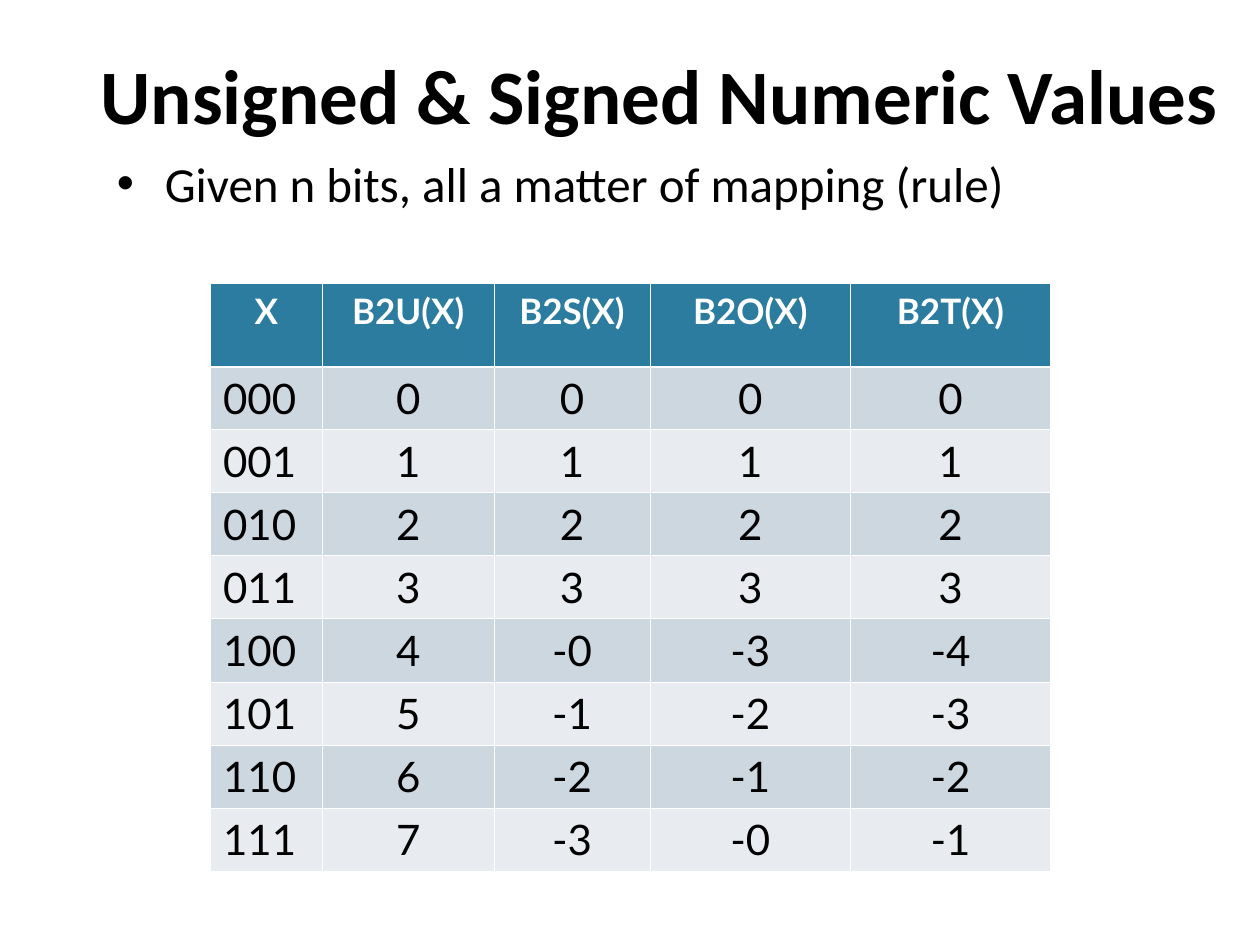
import pptx
import pptx.dml.color
import pptx.enum.text
import pptx.oxml
import pptx.oxml.ns
import pptx.util

THEME = {
    "text": "000000", "header_text": "FFFFFF", "rule": "FFFFFF",
    "header_fill": "2C7C9F", "band_fills": ("CDD7DF", "E8ECF0"),
    "body_font": "Calibri", "table_font": "Lato",
    "title_size": 44, "bullet_size": 28, "header_size": 20, "cell_size": 24,
    "thin_rule": 0.45, "thick_rule": 1.47,
}
LEFT = pptx.enum.text.PP_ALIGN.LEFT
CENTER = pptx.enum.text.PP_ALIGN.CENTER


def style_paragraph(paragraph, font_name, size, color, bold=False, alignment=LEFT):
    paragraph.alignment = alignment
    for run in paragraph.runs:
        run.font.name = font_name
        run.font.size = pptx.util.Pt(size)
        run.font.bold = bold
        run.font.color.rgb = pptx.dml.color.RGBColor.from_string(color)


def add_cell_border(cell, side, width):
    properties = cell._tc.get_or_add_tcPr()
    border = pptx.oxml.parse_xml(
        f'<a:{side} {pptx.oxml.ns.nsdecls("a")} w="{pptx.util.Pt(width)}">'
        f'<a:solidFill><a:srgbClr val="{THEME["rule"]}"/></a:solidFill></a:{side}>')
    properties.append(border)


presentation = pptx.Presentation()
presentation.slide_width = pptx.util.Inches(10)
presentation.slide_height = pptx.util.Inches(7.5)
slide = presentation.slides.add_slide(presentation.slide_layouts[6])

# Title
title = slide.shapes.add_textbox(
    pptx.util.Inches(0.73), pptx.util.Inches(0.35),
    pptx.util.Inches(9.05), pptx.util.Inches(0.79))
title_frame = title.text_frame
title_frame.word_wrap = False
title_frame.auto_size = pptx.enum.text.MSO_AUTO_SIZE.SHAPE_TO_FIT_TEXT
title_frame.margin_left = title_frame.margin_right = pptx.util.Inches(0.07)
title_frame.margin_top = title_frame.margin_bottom = pptx.util.Inches(0.03)
title_frame.text = "Unsigned & Signed Numeric Values"
style_paragraph(title_frame.paragraphs[0], THEME["body_font"],
                THEME["title_size"], THEME["text"], bold=True)

# Bullet line with a hanging indent
bullet = slide.shapes.add_textbox(
    pptx.util.Inches(0.83), pptx.util.Inches(1.17),
    pptx.util.Inches(8.83), pptx.util.Inches(0.75))
bullet.text_frame.word_wrap = True
bullet.text_frame.text = "Given n bits, all a matter of mapping (rule)"
bullet_paragraph = bullet.text_frame.paragraphs[0]
bullet_properties = bullet_paragraph._p.get_or_add_pPr()
indent = pptx.util.Inches(0.38)
bullet_properties.set("marL", str(indent))
bullet_properties.set("indent", str(-indent))
for element in (f'<a:buClr {pptx.oxml.ns.nsdecls("a")}><a:srgbClr val="{THEME["text"]}"/></a:buClr>',
                f'<a:buFont {pptx.oxml.ns.nsdecls("a")} typeface="Arial"/>',
                f'<a:buChar {pptx.oxml.ns.nsdecls("a")} char="•"/>'):
    bullet_properties.append(pptx.oxml.parse_xml(element))
style_paragraph(bullet_paragraph, THEME["body_font"], THEME["bullet_size"], THEME["text"])

# Table of the four mappings
mappings = [
    ("X", "B2U(X)", "B2S(X)", "B2O(X)", "B2T(X)"),
    ("000", "0", "0", "0", "0"),
    ("001", "1", "1", "1", "1"),
    ("010", "2", "2", "2", "2"),
    ("011", "3", "3", "3", "3"),
    ("100", "4", "-0", "-3", "-4"),
    ("101", "5", "-1", "-2", "-3"),
    ("110", "6", "-2", "-1", "-2"),
    ("111", "7", "-3", "-0", "-1"),
]
column_widths = (0.89, 1.36, 1.24, 1.59, 1.59)
row_heights = [0.66] + [0.5] * (len(mappings) - 1)
table = slide.shapes.add_table(
    len(mappings), len(column_widths),
    pptx.util.Inches(1.67), pptx.util.Inches(2.25),
    pptx.util.Inches(sum(column_widths)), pptx.util.Inches(sum(row_heights))).table
for column, width in zip(table.columns, column_widths):
    column.width = pptx.util.Inches(width)
for row, height in zip(table.rows, row_heights):
    row.height = pptx.util.Inches(height)

for row_index, values in enumerate(mappings):
    is_header = row_index == 0
    fill = THEME["header_fill"] if is_header else THEME["band_fills"][(row_index - 1) % 2]
    size = THEME["header_size"] if is_header else THEME["cell_size"]
    color = THEME["header_text"] if is_header else THEME["text"]
    # The rule under the header is the heavy one
    top_rule = THEME["thick_rule"] if row_index == 1 else THEME["thin_rule"]
    bottom_rule = THEME["thick_rule"] if is_header else THEME["thin_rule"]
    for column_index, value in enumerate(values):
        cell = table.cell(row_index, column_index)
        cell.text_frame.text = value
        alignment = CENTER if is_header or column_index else LEFT
        style_paragraph(cell.text_frame.paragraphs[0], THEME["table_font"],
                        size, color, bold=is_header, alignment=alignment)
        for side, width in (("lnL", THEME["thin_rule"]), ("lnR", THEME["thin_rule"]),
                            ("lnT", top_rule), ("lnB", bottom_rule)):
            add_cell_border(cell, side, width)
        cell.fill.solid()
        cell.fill.fore_color.rgb = pptx.dml.color.RGBColor.from_string(fill)

presentation.save("out.pptx")
